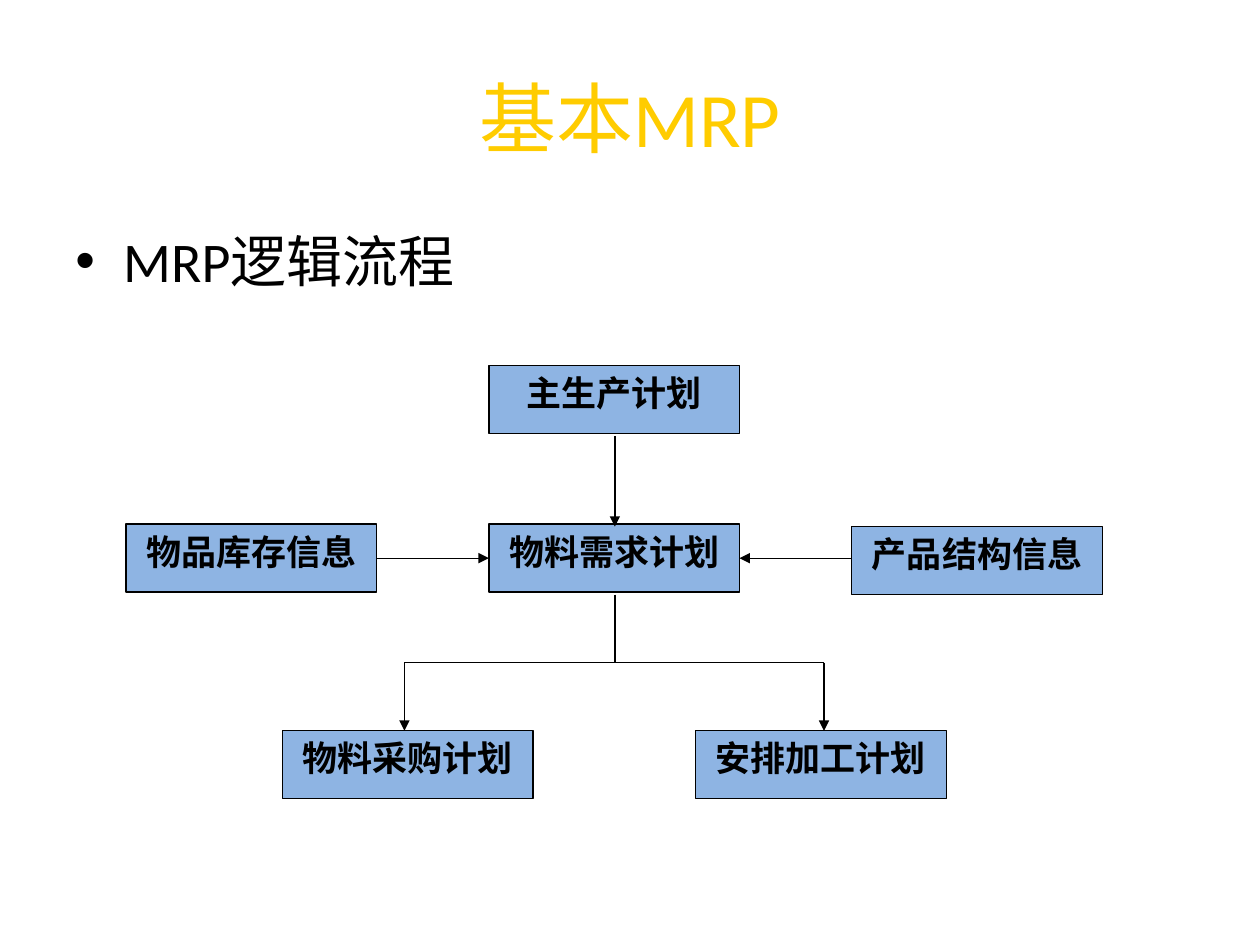
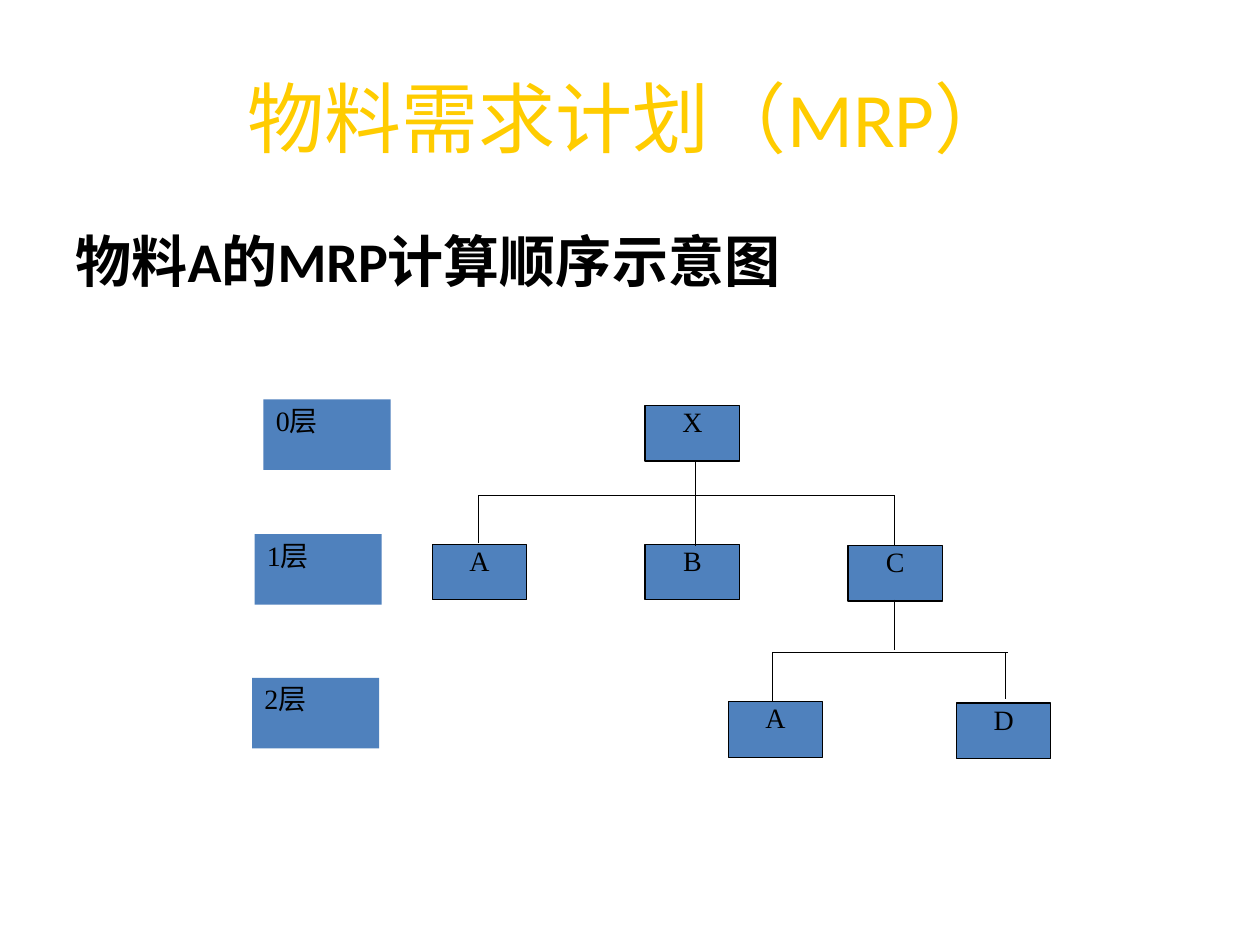
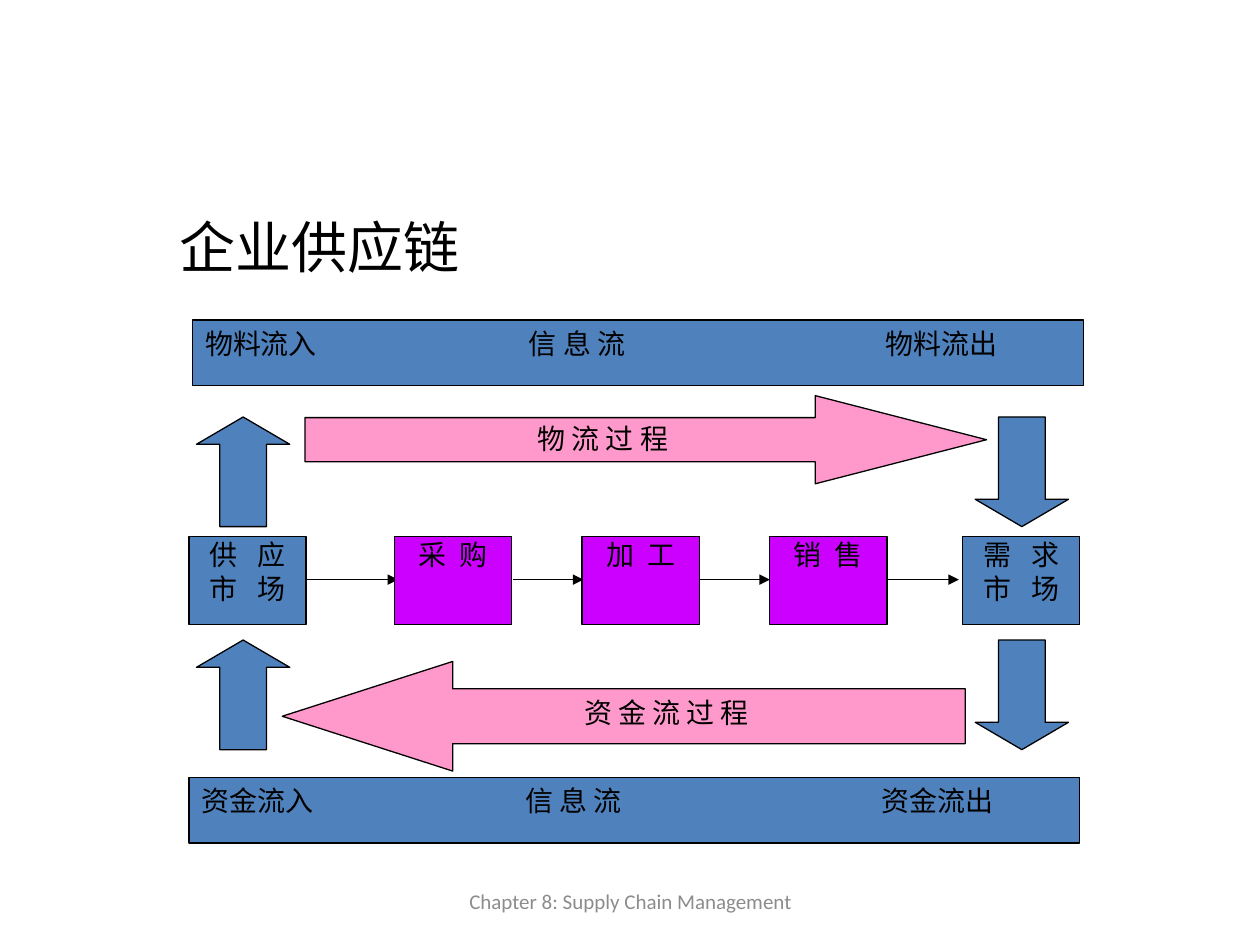
from dataclasses import dataclass

from lxml import etree
from pptx import Presentation
from pptx.dml.color import RGBColor
from pptx.enum.shapes import MSO_CONNECTOR, MSO_SHAPE
from pptx.enum.text import MSO_ANCHOR, PP_ALIGN
from pptx.oxml.ns import qn
from pptx.util import Inches, Pt

RECT = MSO_SHAPE.RECTANGLE
RIGHT_ARROW = MSO_SHAPE.RIGHT_ARROW
LEFT_ARROW = MSO_SHAPE.LEFT_ARROW
UP_ARROW = MSO_SHAPE.UP_ARROW
DOWN_ARROW = MSO_SHAPE.DOWN_ARROW
STRAIGHT = MSO_CONNECTOR.STRAIGHT
LEFT, CENTER = PP_ALIGN.LEFT, PP_ALIGN.CENTER
TOP, MIDDLE = MSO_ANCHOR.TOP, MSO_ANCHOR.MIDDLE

BLACK, GOLD, GREY = "000000", "FFCC00", "8C8C8C"
BLUE, LIGHT_BLUE, PURPLE, PINK = "4F81BD", "8EB4E3", "CC00FF", "FF99CC"
HEADING_FONT, DIAGRAM_FONT, CHAIN_FONT = "Calibri", "Times New Roman", "League Spartan"
ROOMY, TIGHT = (0.1, 0.05), (0.02, 0.01)
LINE_WIDTH = Pt(0.75)


def rgb(value):
    """Turn a hex string into a colour."""
    return RGBColor.from_string(value)


def write(shape, text, size, font=DIAGRAM_FONT, color=BLACK, bold=False, align=CENTER,
          anchor=TOP, inset=ROOMY, line_spacing=None, tracking=0):
    """Fill a shape with uniformly formatted text."""
    frame = shape.text_frame
    frame.word_wrap = True
    frame.vertical_anchor = anchor
    frame.margin_left = frame.margin_right = Inches(inset[0])
    frame.margin_top = frame.margin_bottom = Inches(inset[1])
    frame.text = text
    for paragraph in frame.paragraphs:
        paragraph.alignment = align
        if line_spacing:
            paragraph.line_spacing = line_spacing
        for run in paragraph.runs:
            run.font.size = Pt(size)
            run.font.name = font
            run.font.bold = bold
            run.font.color.rgb = rgb(color)
            if tracking:
                run.font._element.set("spc", str(tracking * 100))
    return frame.paragraphs[0]


@dataclass
class Region:
    """An area of a slide whose parts are placed from its top left corner."""
    slide: object
    left: float
    top: float

    def text(self, x, y, width, height, words, size, **style):
        """Add a text box."""
        label = self.slide.shapes.add_textbox(
            Inches(self.left + x), Inches(self.top + y), Inches(width), Inches(height))
        return write(label, words, size, **style)

    def shape(self, x, y, width, height, fill, kind=RECT, outlined=True, head=None):
        """Add a filled preset shape, with a block arrow head if given."""
        part = self.slide.shapes.add_shape(
            kind, Inches(self.left + x), Inches(self.top + y), Inches(width), Inches(height))
        part.shadow.inherit = False
        part.fill.solid()
        part.fill.fore_color.rgb = rgb(fill)
        if outlined:
            part.line.color.rgb = rgb(BLACK)
            part.line.width = LINE_WIDTH
        else:
            part.line.fill.background()
        if head:
            part.adjustments[0], part.adjustments[1] = 0.5, head
        return part

    def line(self, x1, y1, x2, y2, arrow=False):
        """Add a straight line, with an arrowhead at its end if wanted."""
        link = self.slide.shapes.add_connector(
            STRAIGHT, Inches(self.left + x1), Inches(self.top + y1),
            Inches(self.left + x2), Inches(self.top + y2))
        link.line.color.rgb = rgb(BLACK)
        link.line.width = LINE_WIDTH
        if arrow:
            etree.SubElement(link.line._get_or_add_ln(), qn("a:tailEnd"), type="triangle")
        etree.SubElement(link._element.spPr, qn("a:effectLst"))


def add_heading(slide, title, subject, bulleted=False):
    """Write the gold title and the subject line below it."""
    heading = Region(slide, 0.5, 0.3)
    heading.text(0, 0, 9, 1.25, title, 44, font=HEADING_FONT, color=GOLD, anchor=MIDDLE)
    opening = heading.text(0, 1.45, 9, 0.75, subject, 32, font=HEADING_FONT,
                           bold=not bulleted, align=LEFT)
    if bulleted:
        properties = opening._p.get_or_add_pPr()
        properties.set("marL", str(Inches(0.38)))
        properties.set("indent", str(-Inches(0.38)))
        etree.SubElement(properties, qn("a:buFont"), typeface="Arial")
        etree.SubElement(properties, qn("a:buChar"), char="•")


def add_mrp_flow(slide, left, top):
    """Draw the plans and inputs of the MRP logic."""
    flow = Region(slide, left, top)
    steps = [("主生产计划", 2.88, 0), ("物料需求计划", 2.88, 1.26), ("产品结构信息", 5.76, 1.28),
             ("物品库存信息", 0, 1.26), ("物料采购计划", 1.24, 2.9), ("安排加工计划", 4.52, 2.9)]
    for step, x, y in steps:
        write(flow.shape(x, y, 1.99, 0.54, LIGHT_BLUE), step, 20, bold=True)
    trunk, fork, branches = 3.88, 2.36, (2.21, 5.54)
    flow.line(trunk, 0.56, trunk, 1.28, arrow=True)
    flow.line(1.99, 1.53, 2.88, 1.53, arrow=True)
    flow.line(5.76, 1.53, 4.87, 1.53, arrow=True)
    flow.line(trunk, 1.82, trunk, fork)
    flow.line(branches[0], fork, branches[1], fork)
    for branch in branches:
        flow.line(branch, fork, branch, 2.9, arrow=True)


def add_product_tree(slide, left, top):
    """Draw the product structure of X."""
    tree = Region(slide, left, top)
    items = [("X", 1.69, 0), ("A", 0, 1.1), ("B", 1.69, 1.1), ("C", 3.3, 1.11),
             ("A", 2.35, 2.35), ("D", 4.16, 2.36)]
    for item, x, y in items:
        write(tree.shape(x, y, 0.75, 0.44, BLUE), item, 16, inset=TIGHT, line_spacing=0.96)
    branches = [(0.37, 1.09, 0.37, 0.71), (0.37, 0.71, 3.67, 0.71), (3.67, 0.71, 3.67, 1.11),
                (2.09, 0.44, 2.09, 1.11), (3.67, 1.54, 3.67, 1.94), (2.7, 2.34, 2.7, 1.96),
                (2.7, 1.96, 4.57, 1.96), (4.55, 1.96, 4.55, 2.33)]
    for branch in branches:
        tree.line(*branch)


def add_levels(slide, left, top):
    """Label the levels of the product structure."""
    levels = Region(slide, left, top)
    for number, (x, y) in enumerate([(0.09, 0), (0.02, 1.07), (0, 2.21)]):
        level = levels.shape(x, y, 1.01, 0.56, BLUE, outlined=False)
        write(level, f"{number}层", 16, align=LEFT, line_spacing=0.96)


def add_flow_bar(chain, x, y, inflow, outflow):
    """Draw an information bar with its three entries on tab stops."""
    bar = chain.shape(x, y, 7.07, 0.52, BLUE)
    entries = write(bar, f"{inflow}\t信 息 流\t{outflow}", 16, align=LEFT)
    stops = etree.SubElement(entries._p.get_or_add_pPr(), qn("a:tabLst"))
    for stop in (2.57, 5.4):
        etree.SubElement(stops, qn("a:tab"), pos=str(Inches(stop)), algn="l")


def add_supply_chain(slide, left, top):
    """Draw the stations of the supply chain and the flows around them."""
    chain = Region(slide, left, top)
    for start, end in [(0.91, 1.66), (2.57, 3.13), (4.05, 4.61), (5.55, 6.11)]:
        chain.line(start, 2.06, end, 2.06, arrow=True)
    stations = [("供 应\n市 场", 0, BLUE, 4), ("采 购", 1.63, PURPLE, 2), ("加 工", 3.12, PURPLE, 2),
                ("销 售", 4.61, PURPLE, 2), ("需 求\n市 场", 6.14, BLUE, 4)]
    for station, x, fill, tracking in stations:
        write(chain.shape(x, 1.72, 0.93, 0.7, fill), station, 16, inset=TIGHT, tracking=tracking)
    goods = chain.shape(0.92, 0.6, 5.41, 0.7, PINK, RIGHT_ARROW, head=1.943)
    write(goods, "物 流 过 程", 16, line_spacing=0.96)
    money = chain.shape(0.74, 2.71, 5.42, 0.87, PINK, LEFT_ARROW, head=1.555)
    write(money, "资 金 流 过 程", 16)
    for y in (0.77, 2.54):
        chain.shape(0.06, y, 0.74, 0.87, BLUE, UP_ARROW, head=0.293)
        chain.shape(6.24, y, 0.74, 0.87, BLUE, DOWN_ARROW, head=0.293)
    add_flow_bar(chain, 0.03, 0, "物料流入", "物料流出")
    add_flow_bar(chain, 0, 3.63, "资金流入", "资金流出")


def add_chain_labels(slide):
    """Write the supply chain heading and the chapter footer."""
    page = Region(slide, 0, 0)
    page.text(0.75, 1.62, 3.58, 0.67, "企业供应链", 32, font=CHAIN_FONT, anchor=MIDDLE)
    page.text(3.42, 6.95, 3.17, 0.4, "Chapter 8: Supply Chain Management", 12,
              font=HEADING_FONT, color=GREY, anchor=MIDDLE)


def main():
    """Build the three slides and save them."""
    deck = Presentation()
    deck.slide_width, deck.slide_height = Inches(10), Inches(7.5)
    blank = deck.slide_layouts[6]
    logic, sequence, supply = (deck.slides.add_slide(blank) for _ in range(3))

    add_heading(logic, "基本MRP", "MRP逻辑流程", bulleted=True)
    add_mrp_flow(logic, 1, 2.9)

    add_heading(sequence, "物料需求计划（MRP）", "物料A的MRP计算顺序示意图")
    add_product_tree(sequence, 3.43, 3.22)
    add_levels(sequence, 2, 3.17)

    add_supply_chain(supply, 1.5, 2.54)
    add_chain_labels(supply)
    deck.save("out.pptx")


if __name__ == "__main__":
    main()
